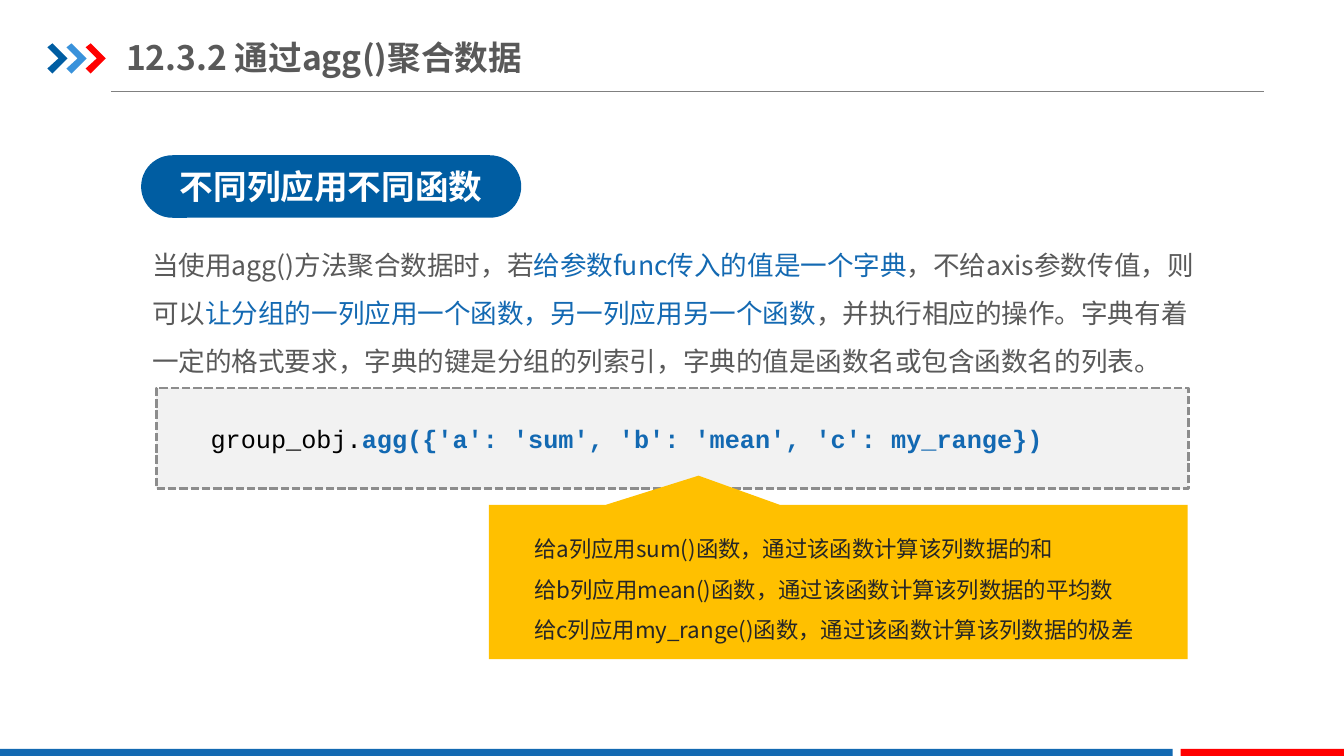
from pptx import Presentation
from pptx.dml.color import RGBColor
from pptx.enum.dml import MSO_LINE
from pptx.enum.shapes import MSO_CONNECTOR, MSO_SHAPE
from pptx.enum.text import MSO_ANCHOR, MSO_AUTO_SIZE, PP_ALIGN
from pptx.oxml.ns import qn
from pptx.util import Inches, Pt
from lxml.etree import SubElement

NAVY = RGBColor(0x00, 0x5D, 0xA2)
SKY = RGBColor(0x39, 0x92, 0xDB)
BLUE = RGBColor(0x13, 0x69, 0xB2)
RED = RGBColor(0xFF, 0x00, 0x00)
AMBER = RGBColor(0xFF, 0xC0, 0x00)
WHITE = RGBColor(0xFF, 0xFF, 0xFF)
BLACK = RGBColor(0x00, 0x00, 0x00)
INK = RGBColor(0x26, 0x26, 0x26)
TEXT = RGBColor(0x59, 0x59, 0x59)
RULE = RGBColor(0x80, 0x80, 0x80)
DASH = RGBColor(0x8D, 0x8D, 0x8D)
PALE = RGBColor(0xF2, 0xF2, 0xF2)
SANS = "Noto Sans CJK SC"
MONO = "Courier New"


class LessonSlide:
    def __init__(self, slide):
        self.slide = slide
        self.shapes = slide.shapes

    def rule(self, x1, y1, x2, y2):
        line = self.shapes.add_connector(
            MSO_CONNECTOR.STRAIGHT, Inches(x1), Inches(y1), Inches(x2), Inches(y2))
        line.line.color.rgb = RULE
        line.line.width = Pt(0.75)
        SubElement(line._element.spPr, qn("a:effectLst"))

    def paint(self, shape, fill):
        shape.shadow.inherit = False
        shape.fill.solid()
        shape.fill.fore_color.rgb = fill
        shape.line.fill.background()
        return shape

    def block(self, kind, box, fill, adjustments=()):
        shape = self.shapes.add_shape(kind, *map(Inches, box))
        for index, value in enumerate(adjustments):
            shape.adjustments[index] = value
        return self.paint(shape, fill)

    def chevron(self, left, fill):
        outline = [(0, 0.47), (0.05, 0.43), (0.2, 0.58), (0.05, 0.73),
                   (0, 0.68), (0.11, 0.58)]
        points = [(Inches(left + x), Inches(y)) for x, y in outline]
        builder = self.shapes.build_freeform(*points[0], scale=1.0)
        builder.add_line_segments(points[1:], close=True)
        self.paint(builder.convert_to_shape(), fill)

    def text_box(self, box):
        return self.shapes.add_textbox(*map(Inches, box))

    def place(self, holder, box):
        holder.left, holder.top, holder.width, holder.height = map(Inches, box)
        return holder

    def set_text(self, shape, paragraphs, size, color, font=SANS, bold=None,
                 spacing=1.0, indent=0, align=PP_ALIGN.LEFT,
                 anchor=MSO_ANCHOR.TOP, insets=(0.1, 0.05)):
        frame = shape.text_frame
        frame.word_wrap = True
        frame.auto_size = MSO_AUTO_SIZE.NONE
        frame.vertical_anchor = anchor
        frame.margin_left = frame.margin_right = Inches(insets[0])
        frame.margin_top = frame.margin_bottom = Inches(insets[1])
        for index, runs in enumerate(paragraphs):
            paragraph = frame.add_paragraph() if index else frame.paragraphs[0]
            paragraph.alignment = align
            paragraph.line_spacing = spacing
            paragraph.space_before = Pt(0)
            properties = paragraph._p.get_or_add_pPr()
            properties.set("marL", "0")
            properties.set("indent", str(Inches(indent)))
            SubElement(properties, qn("a:buNone"))
            paragraph.font.size = Pt(size)
            paragraph.font.name = font
            paragraph.font.bold = bold
            paragraph.font.color.rgb = color
            SubElement(paragraph.font._element, qn("a:ea"), typeface=font)
            for content, accent, strong in runs:
                run = paragraph.add_run()
                run.text = content
                if accent:
                    run.font.color.rgb = accent
                if strong:
                    run.font.bold = True


def plain(content):
    return content, None, False


def main():
    presentation = Presentation()
    presentation.slide_width = Inches(13.33)
    presentation.slide_height = Inches(7.5)
    lesson = LessonSlide(presentation.slides.add_slide(presentation.slide_layouts[1]))

    lesson.rule(1.1, 0.91, 12.54, 0.91)
    for step, fill in enumerate((NAVY, SKY, RED)):
        lesson.chevron(0.47 + 0.19 * step, fill)
    lesson.block(MSO_SHAPE.RECTANGLE, (0, 7.43, 11.63, 0.09), BLUE)
    lesson.block(MSO_SHAPE.RECTANGLE, (11.71, 7.43, 1.63, 0.09), RED)

    heading = lesson.place(lesson.shapes.title, (1.25, 0.29, 4.55, 0.55))
    lesson.set_text(heading, [[plain("12.3.2 通过agg()聚合数据")]], 24, TEXT, bold=True,
                    anchor=MSO_ANCHOR.MIDDLE, insets=(0, 0.07))

    topic = lesson.block(MSO_SHAPE.ROUNDED_RECTANGLE, (1.4, 1.54, 3.77, 0.62),
                         NAVY, [0.5])
    lesson.set_text(topic, [[plain("不同列应用不同函数")]], 24, WHITE, bold=True,
                    align=PP_ALIGN.CENTER, anchor=MSO_ANCHOR.MIDDLE)

    explanation = lesson.place(lesson.slide.placeholders[1], (1.41, 2.26, 10.61, 1.54))
    lesson.set_text(explanation, [[
        plain("当使用agg()方法聚合数据时，若"),
        ("给参数func传入的值是一个字典", BLUE, False),
        plain("，不给axis参数传值，则可以"),
        ("让分组的一列应用一个函数，另一列应用另一个函数", BLUE, False),
        plain("，并执行相应的操作。字典有着一定的格式要求，字典的键是分组的列索引，"
              "字典的值是函数名或包含函数名的列表。"),
    ]], 19, TEXT, spacing=1.5)

    code_panel = lesson.block(MSO_SHAPE.RECTANGLE, (1.55, 3.85, 10.24, 1), PALE)
    code_panel.line.color.rgb = DASH
    code_panel.line.width = Pt(2)
    code_panel.line.dash_style = MSO_LINE.SQUARE_DOT
    code = lesson.text_box((1.7, 4.11, 10.16, 0.45))
    lesson.set_text(code, [[
        plain("group_obj."),
        ("agg({'a': 'sum', 'b': 'mean', 'c': my_range})", BLUE, True),
    ]], 18, BLACK, font=MONO, spacing=1.15, indent=0.29)

    lesson.block(MSO_SHAPE.RECTANGULAR_CALLOUT, (4.85, 5.01, 6.93, 1.53),
                 AMBER, [-0.2, -0.69])
    column_notes = lesson.text_box((5.2, 5.13, 6.38, 1.31))
    functions = [("a", "sum", "和"), ("b", "mean", "平均数"), ("c", "my_range", "极差")]
    lesson.set_text(column_notes, [
        [plain(f"给{column}列应用{function}()函数，通过该函数计算该列数据的{result}")]
        for column, function, result in functions
    ], 16, INK, spacing=1.5)

    presentation.save("out.pptx")


if __name__ == "__main__":
    main()
